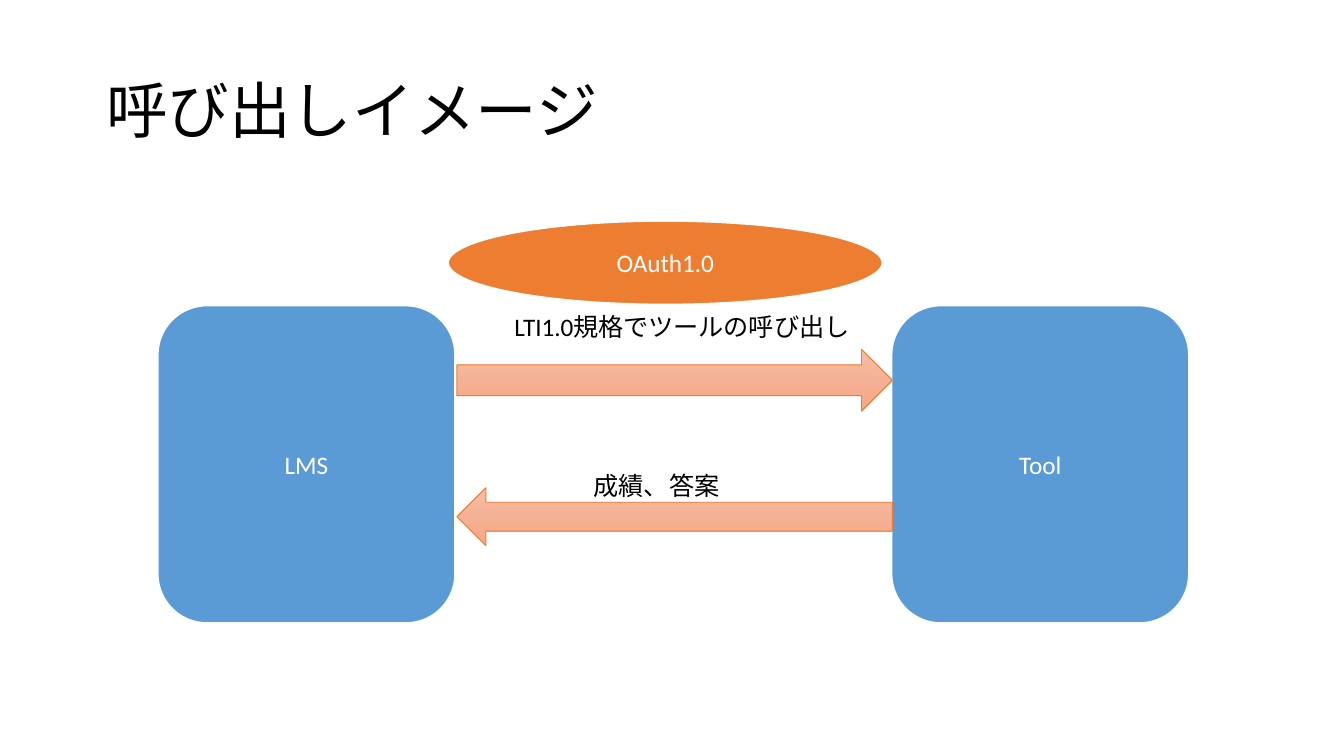
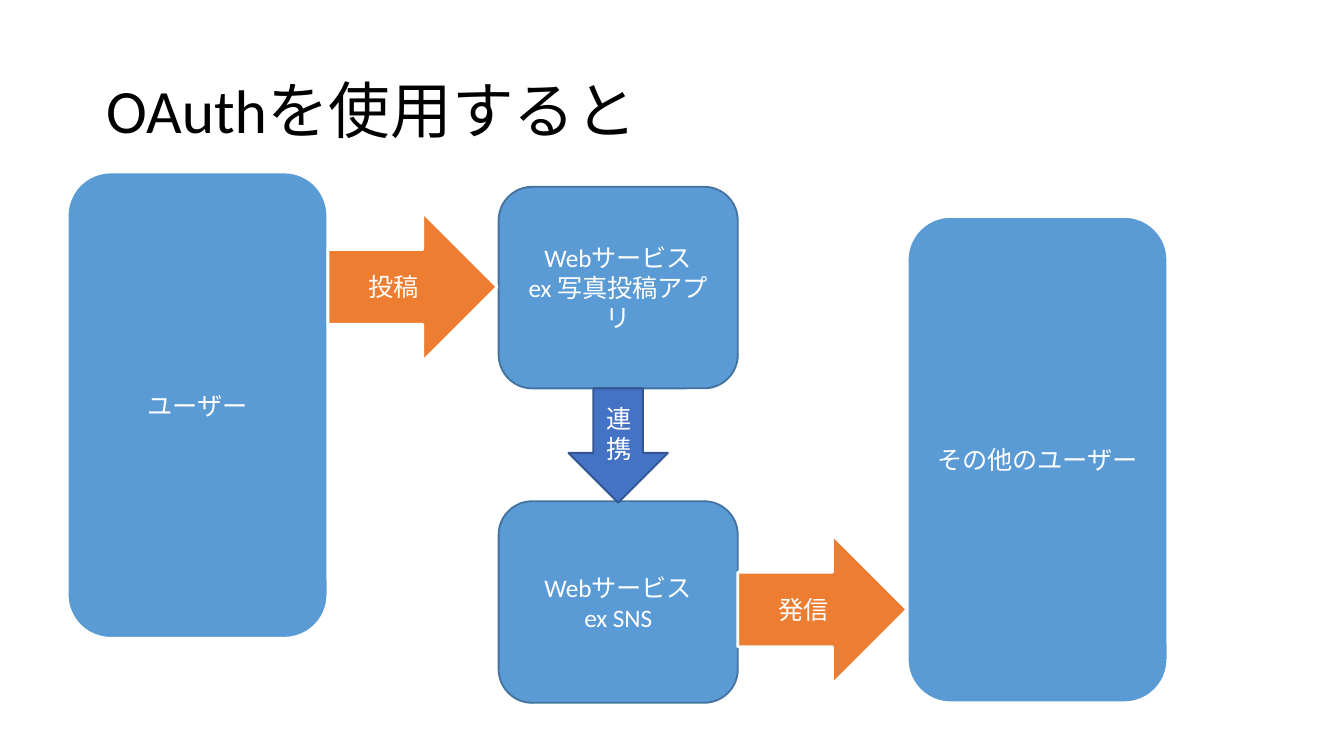
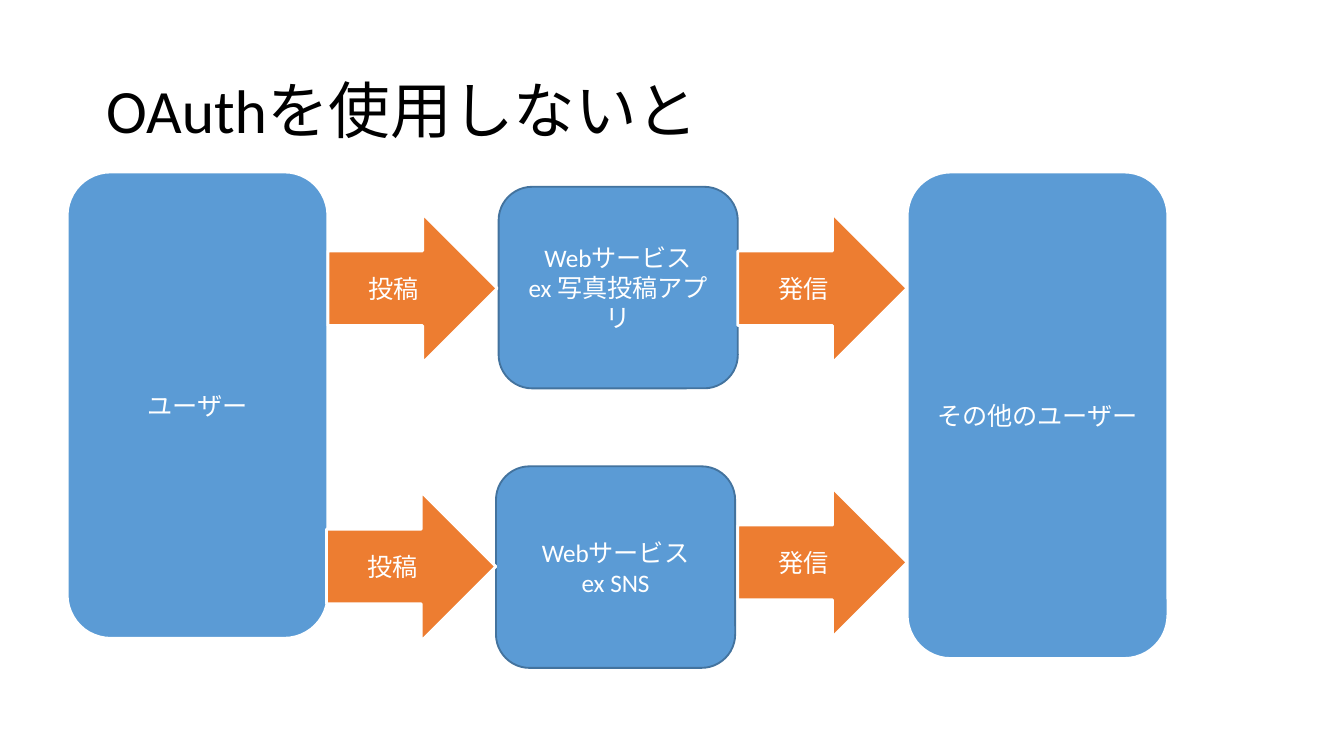
from copy import deepcopy
from itertools import accumulate

from pptx import Presentation
from pptx.dml.color import RGBColor
from pptx.enum.lang import MSO_LANGUAGE_ID
from pptx.enum.shapes import MSO_SHAPE
from pptx.enum.text import MSO_ANCHOR, MSO_AUTO_SIZE, PP_ALIGN
from pptx.oxml.ns import qn
from pptx.util import Inches, Pt

ROUND = MSO_SHAPE.ROUNDED_RECTANGLE
OVAL = MSO_SHAPE.OVAL
RIGHT = MSO_SHAPE.RIGHT_ARROW
LEFT = MSO_SHAPE.LEFT_ARROW
DOWN = MSO_SHAPE.DOWN_ARROW
MIDDLE = MSO_ANCHOR.MIDDLE
JAPANESE = MSO_LANGUAGE_ID.JAPANESE

FONT = "Calibri"
TITLE_SIZE, BODY_SIZE = 33, 13.5
BLACK, WHITE = "000000", "FFFFFF"
BLUE, BLUE_EDGE = "5B9BD5", "43739E"
NAVY, NAVY_EDGE = "4472C4", "325491"
ORANGE = "ED7D31"
PEACH = ["F7BDA5", "F5B196", "F8A582"]

SLIDE_W = 10
SLIDE_H = SLIDE_W * 9 / 16
TITLE_BOX = (0.69, 0.3, 8.62, 1.09)
CALL_BOX = (1.17, 1.64, 7.68, 3.0)
FLOW_BOX = (0.5, 1.28, 8.19, 3.95)

# Flow columns: user, post, service, send, other users
FLOW_COLS = [1.94, 1.27, 1.78, 1.26, 1.94]
USER_H, OTHERS_H = 3.47, 3.62
SERVICE_H, SERVICE_TOP = 1.5, 0.11
ARROW_W, ARROW_H = 1.26, 1.11
SERVICES = ["Webサービス\vex 写真投稿アプリ", "Webサービス\nex SNS"]


def rgb(value):
    return RGBColor.from_string(value)


def inches(*lengths):
    return [Inches(n) for n in lengths]


def set_text(tf, text, size, color, align):
    tf.word_wrap = True
    tf.text = text
    for p in tf.paragraphs:
        p.alignment = align
        for r in p.runs:
            r.font.name = FONT
            r.font.size = Pt(size)
            r.font.color.rgb = rgb(color)
            r.font.language_id = JAPANESE


def add_slide(prs, title):
    s = prs.slides.add_slide(prs.slide_layouts[5])
    sp = s.shapes.title
    sp.left, sp.top, sp.width, sp.height = inches(*TITLE_BOX)
    tf = sp.text_frame
    set_text(tf, title, TITLE_SIZE, BLACK, PP_ALIGN.LEFT)
    tf.vertical_anchor = MIDDLE
    tf.auto_size = MSO_AUTO_SIZE.NONE
    tf.paragraphs[0].line_spacing = 0.9
    return s


def add_block(s, kind, box, fill, text="", line=WHITE, weight=1.5):
    sp = s.shapes.add_shape(kind, *inches(*box))
    sp.shadow.inherit = False
    sp.line.color.rgb = rgb(line)
    sp.line.width = Pt(weight)
    sp.fill.solid()
    sp.fill.fore_color.rgb = rgb(fill)
    if text:
        set_text(sp.text_frame, text, BODY_SIZE, WHITE, PP_ALIGN.CENTER)
        sp.text_frame.vertical_anchor = MIDDLE
    return sp


def shade(sp, colors):
    """Fill from top to bottom with evenly spaced colours."""
    sp.fill.gradient()
    sp.fill.gradient_angle = 270
    stops = sp._element.spPr.find(".//" + qn("a:gsLst"))
    while len(stops) < len(colors):
        stops.insert(1, deepcopy(stops[0]))
    for i, (stop, color) in enumerate(zip(sp.fill.gradient_stops, colors)):
        stop.position = i / (len(colors) - 1)
        stop.color.rgb = rgb(color)


def add_label(s, box, text):
    sp = s.shapes.add_textbox(*inches(*box))
    set_text(sp.text_frame, text, BODY_SIZE, BLACK, PP_ALIGN.LEFT)
    sp.text_frame.auto_size = MSO_AUTO_SIZE.SHAPE_TO_FIT_TEXT


def draw_call(s, box):
    x, y, w, h = box
    side_w, oval_h = 2.22, 0.63
    gap_x, gap_w = x + side_w, w - 2 * side_w

    # Two systems
    for left, name in [(x, "LMS"), (x + w - side_w, "Tool")]:
        add_block(s, ROUND, (left, y + oval_h, side_w, h - oval_h), BLUE, name)

    # Call and reply
    for kind, top, height in [(RIGHT, 0.96, 0.46), (LEFT, 1.99, 0.43)]:
        arrow = add_block(s, kind, (gap_x + 0.01, y + top, gap_w, height),
                          ORANGE, line=ORANGE, weight=0.5)
        shade(arrow, PEACH)
    add_label(s, (gap_x + 0.34, y + oval_h, 2.76, 0.33), "LTI1.0規格でツールの呼び出し")
    add_label(s, (gap_x + 0.93, y + 1.81, 2.95, 0.33), "成績、答案")

    # Authorisation
    add_block(s, OVAL, (gap_x - 0.06, y, gap_w, oval_h), ORANGE, "OAuth1.0")


def draw_flow(s, box, second_top, posts, sends, others_top=0, shift=0, linked=False):
    """posts and sends hold the tops of the arrows, relative to the box."""
    x, y = box[:2]
    user_x, post_x, service_x, send_x, others_x = accumulate(FLOW_COLS[:-1], initial=x)
    user_w, _, service_w, _, others_w = FLOW_COLS

    # Sender and services
    add_block(s, ROUND, (user_x, y, user_w, USER_H), BLUE, "ユーザー")
    rows = [(SERVICE_TOP, 0), (second_top, shift)]
    for text, (top, dx) in zip(SERVICES, rows):
        add_block(s, ROUND, (service_x + dx, y + top, service_w, SERVICE_H),
                  BLUE, text, BLUE_EDGE, 1)

    # Posting arrows
    for top, (_, dx) in zip(posts, rows):
        add_block(s, RIGHT, (post_x + dx / 2, y + top, ARROW_W, ARROW_H), ORANGE, "投稿")

    # Link between the services
    if linked:
        top = SERVICE_TOP + SERVICE_H
        link_w = 0.74
        add_block(s, DOWN, (service_x + (service_w - link_w) / 2, y + top,
                            link_w, second_top - top + 0.01),
                  NAVY, "連携", NAVY_EDGE, 1)

    # Sending arrows
    for top in sends:
        add_block(s, RIGHT, (send_x, y + top, ARROW_W, ARROW_H), ORANGE, "発信")

    # Receivers
    add_block(s, ROUND, (others_x, y + others_top, others_w, OTHERS_H),
              BLUE, "その他のユーザー")


def main():
    prs = Presentation()
    prs.slide_width, prs.slide_height = inches(SLIDE_W, SLIDE_H)
    draw_call(add_slide(prs, "呼び出しイメージ"), CALL_BOX)
    draw_flow(add_slide(prs, "OAuthを使用すると"), FLOW_BOX, second_top=2.45,
              posts=[0.3], sends=[2.7], others_top=0.33, linked=True)
    draw_flow(add_slide(prs, "OAuthを使用しないと"), FLOW_BOX, second_top=2.19,
              posts=[0.31, 2.38], sends=[0.31, 2.35], shift=-0.02)
    prs.save("out.pptx")


if __name__ == "__main__":
    main()
